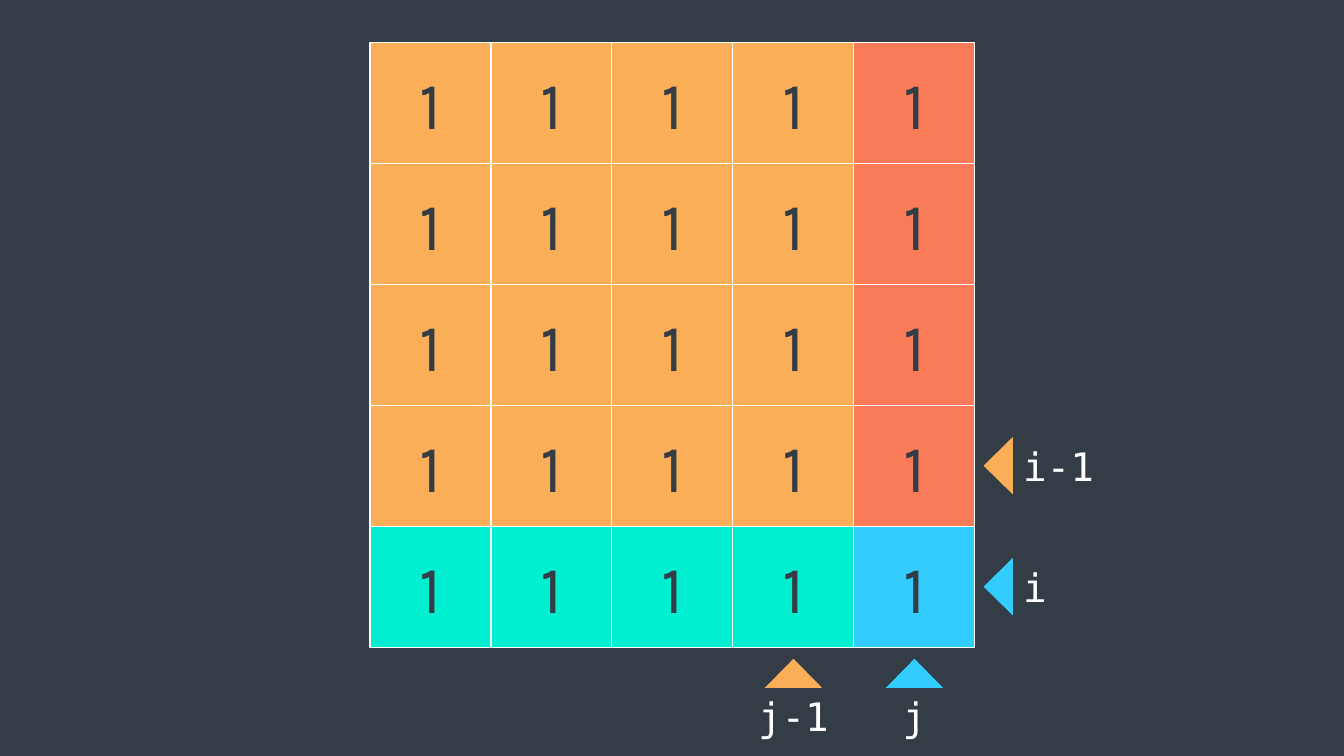
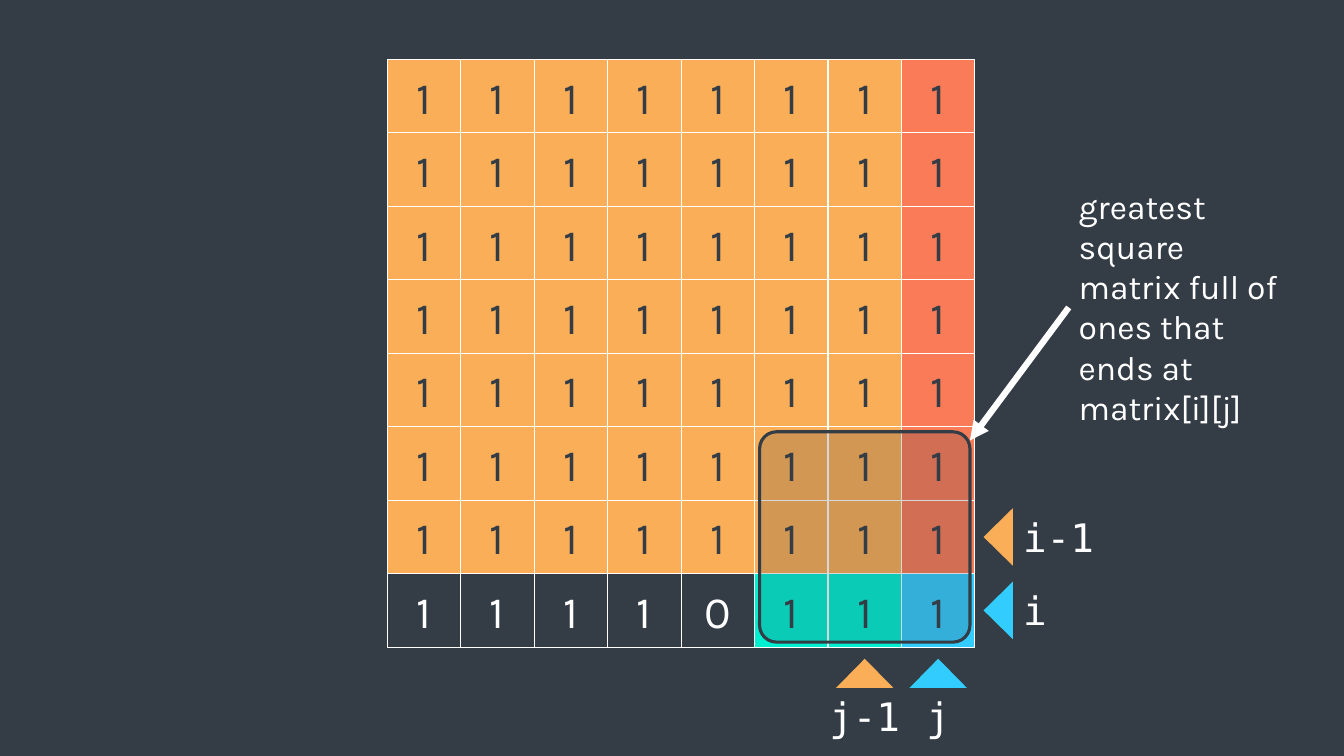
"""Two matrix slides: the cells around matrix[i][j] and the greatest square ending there."""
from lxml import etree
from pptx import Presentation
from pptx.dml.color import RGBColor
from pptx.enum.shapes import MSO_CONNECTOR, MSO_SHAPE
from pptx.enum.text import MSO_ANCHOR, MSO_AUTO_SIZE, PP_ALIGN
from pptx.oxml.ns import qn
from pptx.util import Inches, Pt

RECT, ROUNDED = MSO_SHAPE.RECTANGLE, MSO_SHAPE.ROUNDED_RECTANGLE
TRIANGLE = MSO_SHAPE.ISOSCELES_TRIANGLE
STRAIGHT = MSO_CONNECTOR.STRAIGHT
LEFT, CENTER = PP_ALIGN.LEFT, PP_ALIGN.CENTER
MIDDLE = MSO_ANCHOR.MIDDLE
GROW = MSO_AUTO_SIZE.SHAPE_TO_FIT_TEXT

COLORS = {"dark": "343D46", "white": "FFFFFF", "orange": "F9AE57",
          "coral": "F97B57", "teal": "00EFD1", "blue": "33CCFF"}
REGIONS = {"o": "orange", "c": "coral", "t": "teal", "b": "blue", "d": "dark"}
BODY_FONT, CODE_FONT = "Karla", "DejaVu Sans Mono"

SMALL_MATRIX = {
    "values": ["11111"] * 5,
    "regions": ["ooooc"] * 4 + ["ttttb"],
    "left": 3.67, "digit_size": 48,
}
LARGE_MATRIX = {
    "values": ["11111111"] * 7 + ["11110111"],
    "regions": ["oooooooc"] * 7 + ["dddddttb"],
    "left": 3.84, "digit_size": 32,
}
INDICES = [("", 0, "blue"), ("-1", 1, "orange")]
NOTE = "greatest square matrix full of ones that ends at matrix[i][j]"
SQUARE_SIDE, SQUARE_INSET = 3, 0.05

SLIDE_W, SLIDE_H = 13.33, 7.5
GRID_RIGHT, GRID_BOTTOM = 9.67, 6.42
POINTER_W, POINTER_H = 0.57, 0.29
LABEL_W, LABEL_H = 1.33, 0.57
ROW_POINTER_X, ROW_LABEL_LEFT = 9.9, 10.05
COLUMN_POINTER_Y, COLUMN_LABEL_TOP = 6.68, 6.82


def rgb(color):
    return RGBColor.from_string(COLORS[color])


def add_box(slide, kind, box, fill, line=None, weight=0.75):
    shape = slide.shapes.add_shape(kind, *map(Inches, box))
    shape.shadow.inherit = False
    shape.fill.solid()
    shape.fill.fore_color.rgb = rgb(fill)
    if line:
        shape.line.color.rgb = rgb(line)
        shape.line.width = Pt(weight)
    else:
        shape.line.fill.background()
    return shape


def write(frame, text, size, font, color, align):
    paragraph = frame.paragraphs[0]
    paragraph.alignment = align
    run = paragraph.add_run()
    run.text = text
    run.font.size, run.font.name = Pt(size), font
    run.font.color.rgb = rgb(color)


def add_label(slide, box, text, size, font, align=LEFT):
    frame = slide.shapes.add_textbox(*map(Inches, box)).text_frame
    frame.word_wrap = True
    frame.auto_size = GROW
    write(frame, text, size, font, "white", align)


def add_pointer(slide, x, y, color, rotation=0):
    box = (x - POINTER_W / 2, y - POINTER_H / 2, POINTER_W, POINTER_H)
    add_box(slide, TRIANGLE, box, color).rotation = rotation


def add_matrix(slide, matrix):
    left, count = matrix["left"], len(matrix["values"])
    cell = (GRID_RIGHT - left) / count
    top = GRID_BOTTOM - count * cell
    for row, (values, regions) in enumerate(zip(matrix["values"], matrix["regions"])):
        for column, (value, region) in enumerate(zip(values, regions)):
            fill = REGIONS[region]
            box = (left + column * cell, top + row * cell, cell, cell)
            frame = add_box(slide, RECT, box, fill, "white").text_frame
            frame.vertical_anchor = MIDDLE
            ink = "white" if fill == "dark" else "dark"
            write(frame, value, matrix["digit_size"], BODY_FONT, ink, CENTER)
    for suffix, steps_back, color in INDICES:
        x = GRID_RIGHT - (steps_back + 0.5) * cell
        y = GRID_BOTTOM - (steps_back + 0.5) * cell
        add_pointer(slide, x, COLUMN_POINTER_Y, color)
        add_pointer(slide, ROW_POINTER_X, y, color, 270)
        add_label(slide, (ROW_LABEL_LEFT, y - LABEL_H / 2, LABEL_W, LABEL_H),
                  "i" + suffix, 28, CODE_FONT)
        add_label(slide, (x - LABEL_W / 2, COLUMN_LABEL_TOP, LABEL_W, LABEL_H),
                  "j" + suffix, 28, CODE_FONT, CENTER)
    return cell


def add_greatest_square(slide, cell):
    span = SQUARE_SIDE * cell
    side = span - 2 * SQUARE_INSET
    box = (GRID_RIGHT - span + SQUARE_INSET, GRID_BOTTOM - span + SQUARE_INSET, side, side)
    square = add_box(slide, ROUNDED, box, "dark", "dark", 2.25)
    square.adjustments[0] = 0.08
    tint = square.fill._xPr.find(qn("a:solidFill"))[0]
    etree.SubElement(tint, qn("a:alpha")).set("val", "20000")


def add_arrow(slide, start, end):
    arrow = slide.shapes.add_connector(STRAIGHT, *map(Inches, start + end))
    arrow.line.color.rgb = rgb("white")
    arrow.line.width = Pt(4.5)
    properties = arrow.line._get_or_add_ln()
    etree.SubElement(properties, qn("a:tailEnd")).set("type", "triangle")
    etree.SubElement(arrow._element.spPr, qn("a:effectLst"))


prs = Presentation()
prs.slide_width, prs.slide_height = Inches(SLIDE_W), Inches(SLIDE_H)
backdrop = prs.slide_master.background.fill
backdrop.solid()
backdrop.fore_color.rgb = rgb("dark")
blank = prs.slide_layouts[6]

add_matrix(prs.slides.add_slide(blank), SMALL_MATRIX)

square_slide = prs.slides.add_slide(blank)
add_greatest_square(square_slide, add_matrix(square_slide, LARGE_MATRIX))
add_label(square_slide, (10.6, 1.79, 2.21, 2.52), NOTE, 24, BODY_FONT)
add_arrow(square_slide, (10.6, 3.05), (9.62, 4.37))

prs.save("out.pptx")
